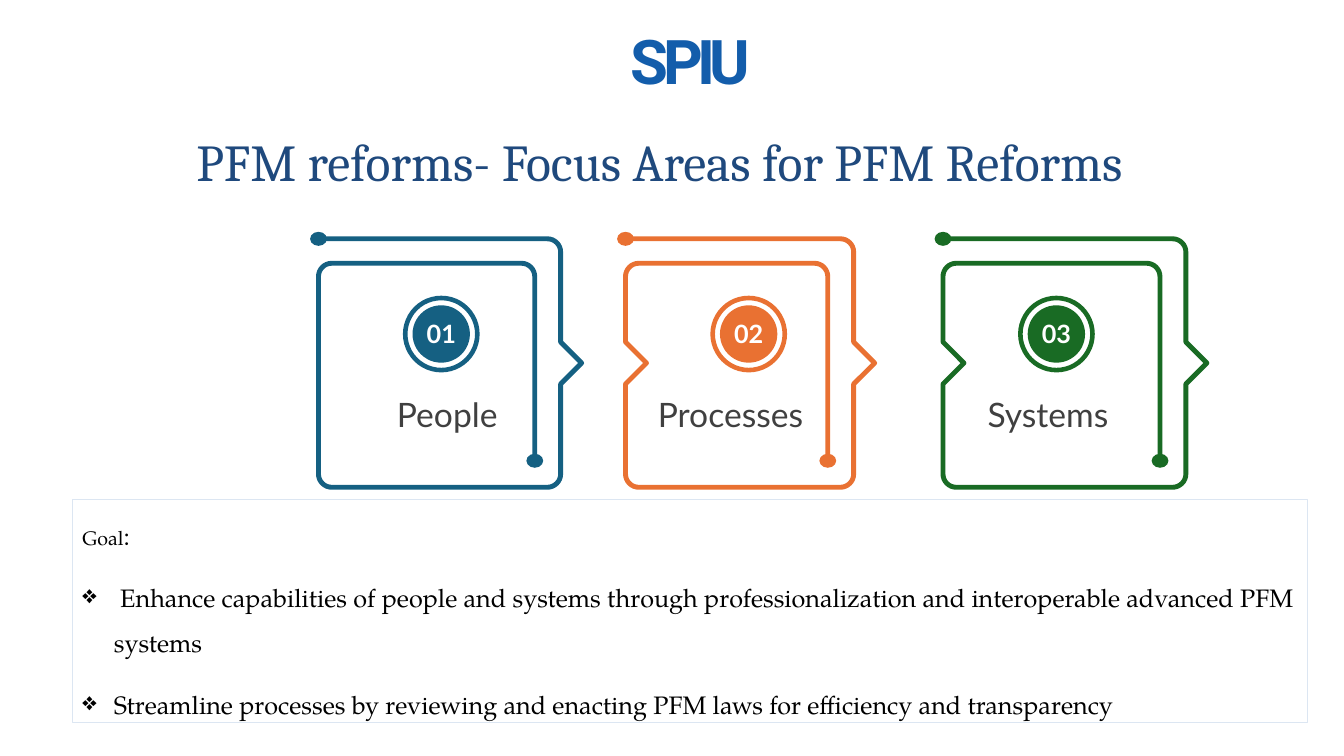
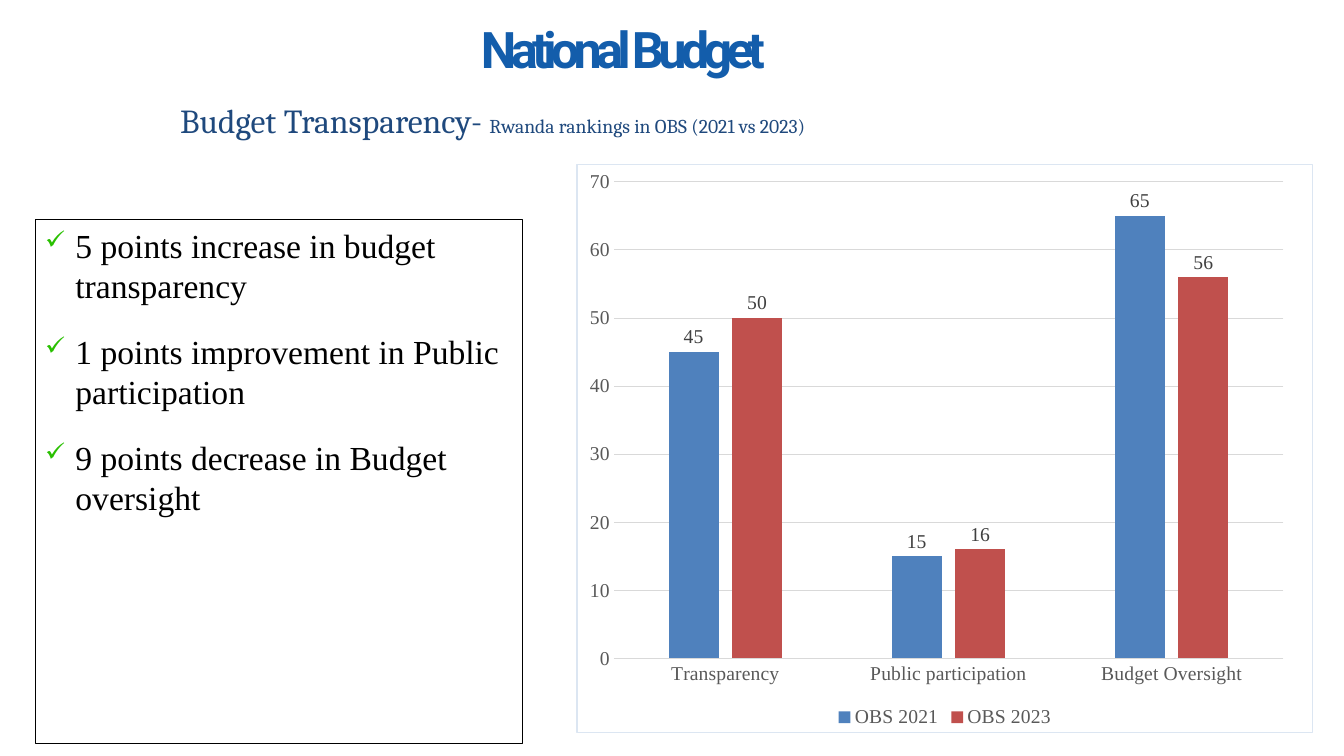
from math import cos, hypot, pi, sin

from lxml import etree
from pptx import Presentation
from pptx.chart.data import CategoryChartData
from pptx.dml.color import RGBColor
from pptx.enum.chart import (XL_CHART_TYPE, XL_LABEL_POSITION,
                             XL_LEGEND_POSITION, XL_TICK_MARK)
from pptx.enum.shapes import MSO_SHAPE
from pptx.enum.text import PP_ALIGN
from pptx.oxml import parse_xml
from pptx.oxml.ns import qn
from pptx.util import Pt

CENTER = PP_ALIGN.CENTER
OVAL = MSO_SHAPE.OVAL
COLUMNS = XL_CHART_TYPE.COLUMN_CLUSTERED
OUTSIDE_END = XL_LABEL_POSITION.OUTSIDE_END
LEGEND_BOTTOM = XL_LEGEND_POSITION.BOTTOM
NO_TICKS = XL_TICK_MARK.NONE

BRAND_BLUE = "135DAB"
NAVY = "1F497D"
BLACK = "000000"
WHITE = "FFFFFF"
DARK_GRAY = "404040"
AXIS_GRAY = "595959"
GRID_GRAY = "D9D9D9"
PALE_BLUE = "DCE6F2"
TICK_GREEN = "29C000"

HEADING_FONT = "Roboto"
TITLE_FONT = "Cambria"
CARD_FONT = "Lato"
GOAL_FONT = "TeX Gyre Pagella"
RANKING_FONT = "Times New Roman"

# name, colour, left, width, badge offset, label offset, notched left side
CARDS = [
    ("People", "156082", 227.5, 173, 87.7, 92, False),
    ("Processes", "E97132", 446.8, 163, 88, 75, True),
    ("Systems", "196B24", 673.6, 173.5, 81, 75, True),
]


def rgb(color):
    return RGBColor.from_string(color)


def set_font(font, name, color, size=None, bold=None):
    font.name = name
    font.color.rgb = rgb(color)
    if size:
        font.size = Pt(size)
    if bold is not None:
        font.bold = bold


def set_line(line, color, width):
    line.color.rgb = rgb(color)
    line.width = Pt(width)


def add_box(page, left, top, width, height, border=None):
    box = page.shapes.add_textbox(Pt(left), Pt(top), Pt(width), Pt(height))
    box.text_frame.word_wrap = True
    if border:
        set_line(box.line, border, 0.75)
    return box


def add_bullet(para, char, indent, color=None, percent=None):
    props = para._p.get_or_add_pPr()
    props.set("marL", str(Pt(indent)))
    props.set("indent", str(-Pt(indent)))
    if color:
        holder = etree.SubElement(props, qn("a:buClr"))
        etree.SubElement(holder, qn("a:srgbClr")).set("val", color)
    if percent:
        size = etree.SubElement(props, qn("a:buSzPct"))
        size.set("val", str(percent * 1000))
    etree.SubElement(props, qn("a:buChar")).set("char", char)


def add_label(page, left, top, width, height, text, font, color, size,
              bold=False):
    """Place one centred line of text and return its span."""
    box = add_box(page, left, top, width, height)
    para = box.text_frame.paragraphs[0]
    para.alignment = CENTER
    set_font(para.font, font, color, size, bold)
    span = para.add_run()
    span.text = text
    return span


def add_heading(page, left, top, width, height, text, size):
    span = add_label(page, left, top, width, height, text, HEADING_FONT,
                     BRAND_BLUE, size, bold=True)
    span._r.get_or_add_rPr().set("spc", "-410")


def add_spans(para, spans):
    for text, size in spans:
        span = para.add_run()
        span.text = text
        span.font.size = Pt(size)


def add_title(page, left, top, width, height, spans):
    box = add_box(page, left, top, width, height)
    para = box.text_frame.paragraphs[0]
    set_font(para.font, TITLE_FONT, NAVY)
    add_spans(para, spans)


def add_oval(page, x, y, width, height, color, outline=None):
    """Centre an oval on (x, y): filled, or a ring when outline is given."""
    oval = page.shapes.add_shape(OVAL, Pt(x - width / 2), Pt(y - height / 2),
                                 Pt(width), Pt(height))
    oval.shadow.inherit = False
    if outline:
        oval.fill.background()
        set_line(oval.line, color, outline)
    else:
        oval.fill.solid()
        oval.fill.fore_color.rgb = rgb(color)
        oval.line.fill.background()


def toward(start, end):
    length = hypot(end[0] - start[0], end[1] - start[1])
    return (end[0] - start[0]) / length, (end[1] - start[1]) / length


def round_corners(points, corners, radius, steps=8):
    """Replace each right-angled point listed in corners by an arc."""
    result = []
    for index, (x, y) in enumerate(points):
        if index not in corners:
            result.append((x, y))
            continue
        back_x, back_y = toward((x, y), points[index - 1])
        next_x, next_y = toward((x, y), points[index + 1])
        for step in range(steps + 1):
            angle = step * pi / 2 / steps
            near, far = 1 - sin(angle), 1 - cos(angle)
            result.append((x + radius * (back_x * near + next_x * far),
                           y + radius * (back_y * near + next_y * far)))
    return result


def add_frame(page, left, top, width, height, color, notched):
    """Draw the folded outline, with a dot at each of its ends."""
    gap, tip, half_tip = 18.5, 15, 15
    right, bottom = left + width, top + height
    middle = top + height / 2
    inner_top, inner_right = top + 17.5, right - gap
    end = (inner_right, bottom - 19)

    def pointer(x, first, last):
        return [(x, middle + first), (x + tip, middle), (x, middle + last)]

    points = [(left, top), (right, top), *pointer(right, -half_tip, half_tip),
              (right, bottom), (left, bottom)]
    if notched:
        points += pointer(left, half_tip, -half_tip)
    points += [(left, inner_top), (inner_right, inner_top), end]
    count = len(points)
    outline = round_corners(points, {1, 5, 6, count - 3, count - 2}, 9.5)
    outline = [(Pt(x), Pt(y)) for x, y in outline]
    builder = page.shapes.build_freeform(*outline[0])
    builder.add_line_segments(outline[1:], close=False)
    frame = builder.convert_to_shape()
    frame.shadow.inherit = False
    frame.fill.background()
    set_line(frame.line, color, 3.5)
    for x, y in (points[0], end):
        add_oval(page, x, y, 12, 10, color)


def add_card(page, left, top, width, height, number, name, color,
             badge_offset, label_offset, notched):
    add_frame(page, left, top, width, height, color, notched)
    badge_x, badge_y = left + badge_offset, top + 68
    add_oval(page, badge_x, badge_y, 41, 41, color)
    add_oval(page, badge_x, badge_y, 51.5, 51.5, color, outline=3.3)
    add_label(page, badge_x - 25, badge_y - 14.5, 50, 29, f"{number:02}",
              CARD_FONT, WHITE, 18, bold=True)
    add_label(page, left + label_offset - 80, top + 107.5, 160, 36, name,
              CARD_FONT, DARK_GRAY, 24)


def add_goal(page, left, top, width, height):
    box = add_box(page, left, top, width, height, PALE_BLUE)
    frame = box.text_frame
    paragraphs = [
        [("Goal", 14), (":", 18)],
        [(" Enhance capabilities of people and systems through "
          "professionalization and interoperable advanced PFM systems", 18)],
        [("Streamline processes by reviewing and enacting PFM laws for "
          "efficiency and transparency", 18)],
    ]
    for index, spans in enumerate(paragraphs):
        para = frame.add_paragraph() if index else frame.paragraphs[0]
        if index:
            add_bullet(para, "❖", 22.5)
            para.space_before = Pt(6)
        para.space_after = Pt(6)
        para.line_spacing = 1.5
        set_font(para.font, GOAL_FONT, BLACK)
        add_spans(para, spans)


def add_findings(page, left, top, width, height):
    frame = add_box(page, left, top, width, height, BLACK).text_frame
    findings = ["5 points increase in budget transparency",
                "1 points improvement in Public participation",
                "9 points decrease in Budget oversight"]
    for index, finding in enumerate(findings):
        para = frame.add_paragraph() if index else frame.paragraphs[0]
        add_bullet(para, "✓", 21.6, TICK_GREEN, 76)
        if index:
            para.space_before = Pt(6)
        para.space_after = Pt(12)
        set_font(para.font, RANKING_FONT, BLACK, 24)
        para.add_run().text = finding


def frame_chart(chart, x, y, width, height):
    """Fix the inner plot area, in shares of the chart, and add a border."""
    namespaces = ('xmlns:c="http://schemas.openxmlformats.org/drawingml/2006/'
                  'chart" xmlns:a="http://schemas.openxmlformats.org/'
                  'drawingml/2006/main"')
    places = "".join(f'<c:{key} val="{value}"/>' for key, value in (
        ("layoutTarget", "inner"), ("xMode", "edge"), ("yMode", "edge"),
        ("x", x), ("y", y), ("w", width), ("h", height)))
    plot_area = chart._chartSpace.chart.plotArea
    for layout in plot_area.findall(qn("c:layout")):
        plot_area.remove(layout)
    plot_area.insert(0, parse_xml(
        f"<c:layout {namespaces}><c:manualLayout>{places}"
        "</c:manualLayout></c:layout>"))
    chart._chartSpace.chart.addnext(parse_xml(
        f'<c:spPr {namespaces}><a:noFill/><a:ln w="{Pt(0.75)}"><a:solidFill>'
        f'<a:srgbClr val="{PALE_BLUE}"/></a:solidFill></a:ln></c:spPr>'))


def add_rankings(page, left, top, width, height):
    data = CategoryChartData()
    data.categories = ["Transparency", "Public participation",
                       "Budget Oversight"]
    data.add_series("OBS 2021", (45, 15, 65))
    data.add_series("OBS 2023", (50, 16, 56))
    chart = page.shapes.add_chart(COLUMNS, Pt(left), Pt(top), Pt(width),
                                  Pt(height), data).chart
    set_font(chart.font, RANKING_FONT, BLACK, 14)
    chart.has_title = False
    chart.has_legend = True
    chart.legend.position = LEGEND_BOTTOM
    chart.legend.include_in_layout = False
    set_font(chart.legend.font, RANKING_FONT, AXIS_GRAY, 14)

    plot = chart.plots[0]
    plot.gap_width, plot.overlap = 219, -27
    plot.vary_by_categories = False
    for series, color in zip(plot.series, ("4F81BD", "C0504D")):
        series.format.fill.solid()
        series.format.fill.fore_color.rgb = rgb(color)
        labels = series.data_labels
        labels.show_value = True
        labels.position = OUTSIDE_END
        set_font(labels.font, RANKING_FONT, DARK_GRAY, 14)

    scale = chart.value_axis
    for axis in (chart.category_axis, scale):
        axis.major_tick_mark = axis.minor_tick_mark = NO_TICKS
        set_font(axis.tick_labels.font, RANKING_FONT, AXIS_GRAY, 14)
    set_line(chart.category_axis.format.line, GRID_GRAY, 0.75)
    scale.minimum_scale, scale.maximum_scale, scale.major_unit = 0, 70, 10
    scale.format.line.fill.background()
    set_line(scale.major_gridlines.format.line, GRID_GRAY, 0.75)
    frame_chart(chart, 0.05, 0.03, 0.91, 0.84)


def build_focus_areas(page):
    add_title(page, 133.2, 89.3, 748, 52,
              [("PFM reforms- Focus Areas for PFM Reforms", 37)])
    for number, (name, color, left, width, *details) in enumerate(CARDS, 1):
        add_card(page, left, 170.6, width, 177.5, number, name, color,
                 *details)
    add_goal(page, 51.8, 357, 882, 159)
    add_heading(page, 97.2, 13, 792, 60.5, "SPIU", 44)


def build_transparency(page):
    add_title(page, 121.7, 67.7, 748, 36,
              [("Budget Transparency- ", 24),
               ("Rwanda rankings in OBS (2021 vs 2023)", 14)])
    add_findings(page, 25.2, 157, 347.8, 374.4)
    add_rankings(page, 411.8, 117.4, 526.3, 406)
    add_heading(page, 49, 9.4, 792, 51, "National Budget", 36)


def main():
    deck = Presentation()
    deck.slide_width, deck.slide_height = Pt(960), Pt(540)
    for build in (build_focus_areas, build_transparency):
        build(deck.slides.add_slide(deck.slide_layouts[6]))
    deck.save("out.pptx")


if __name__ == "__main__":
    main()
